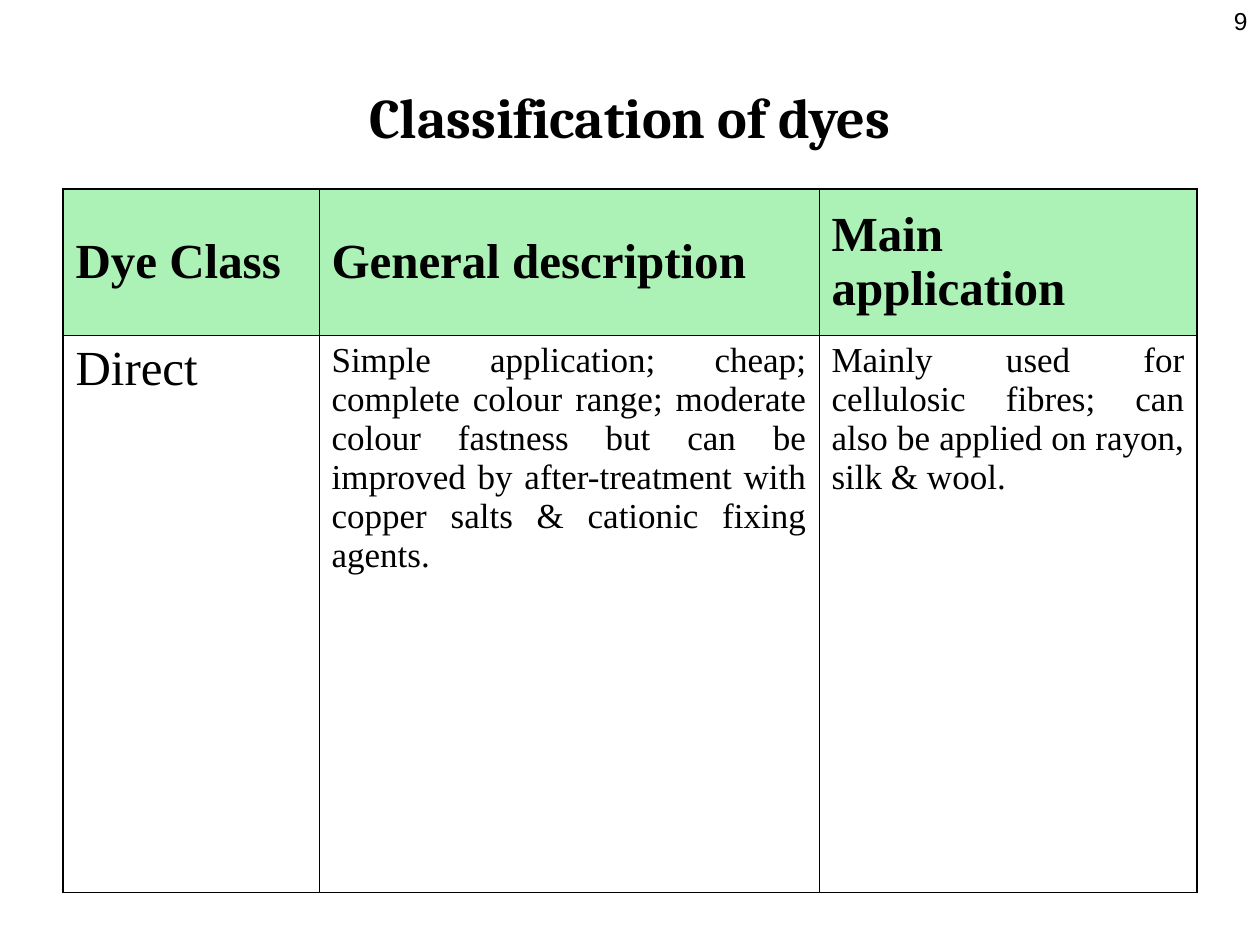
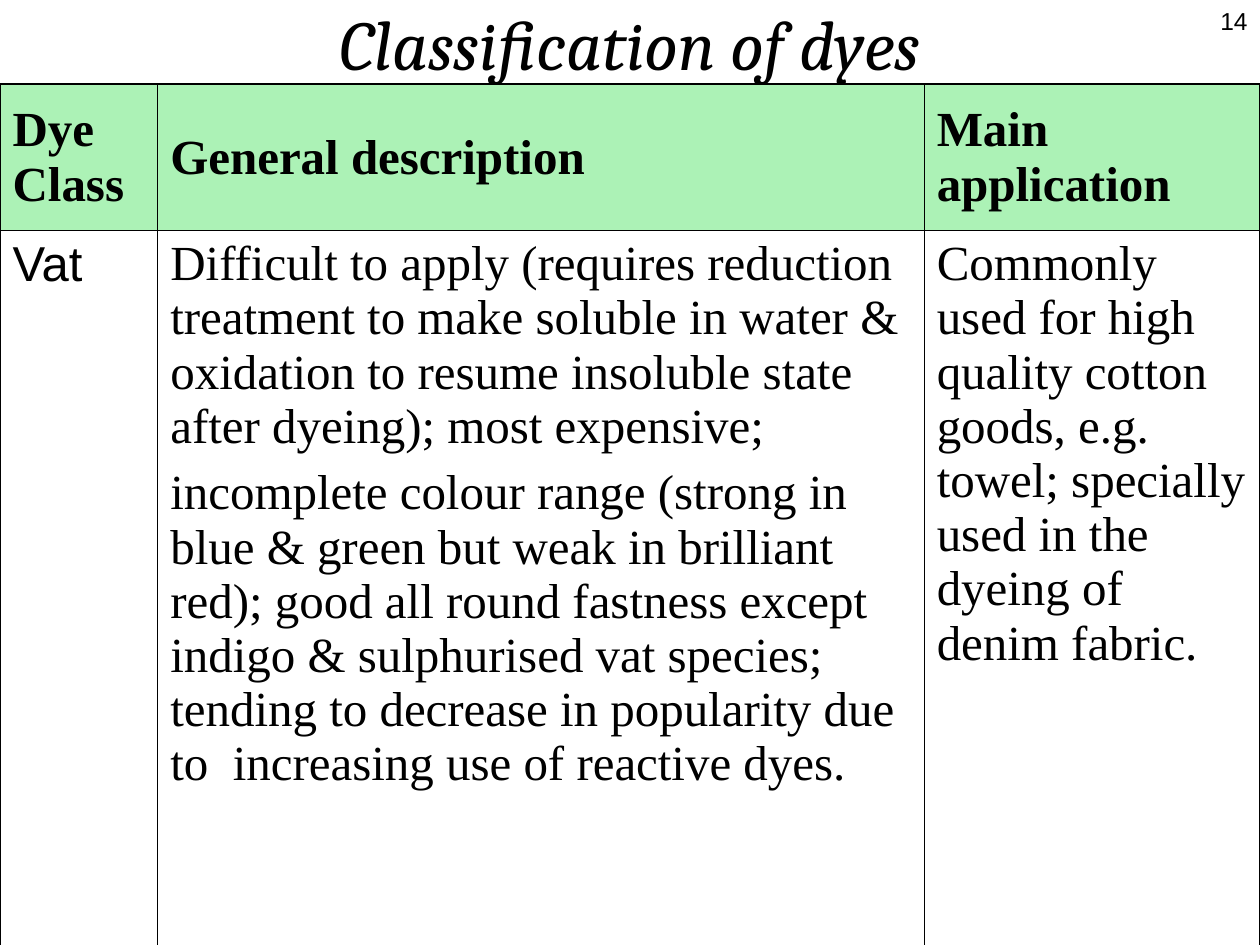
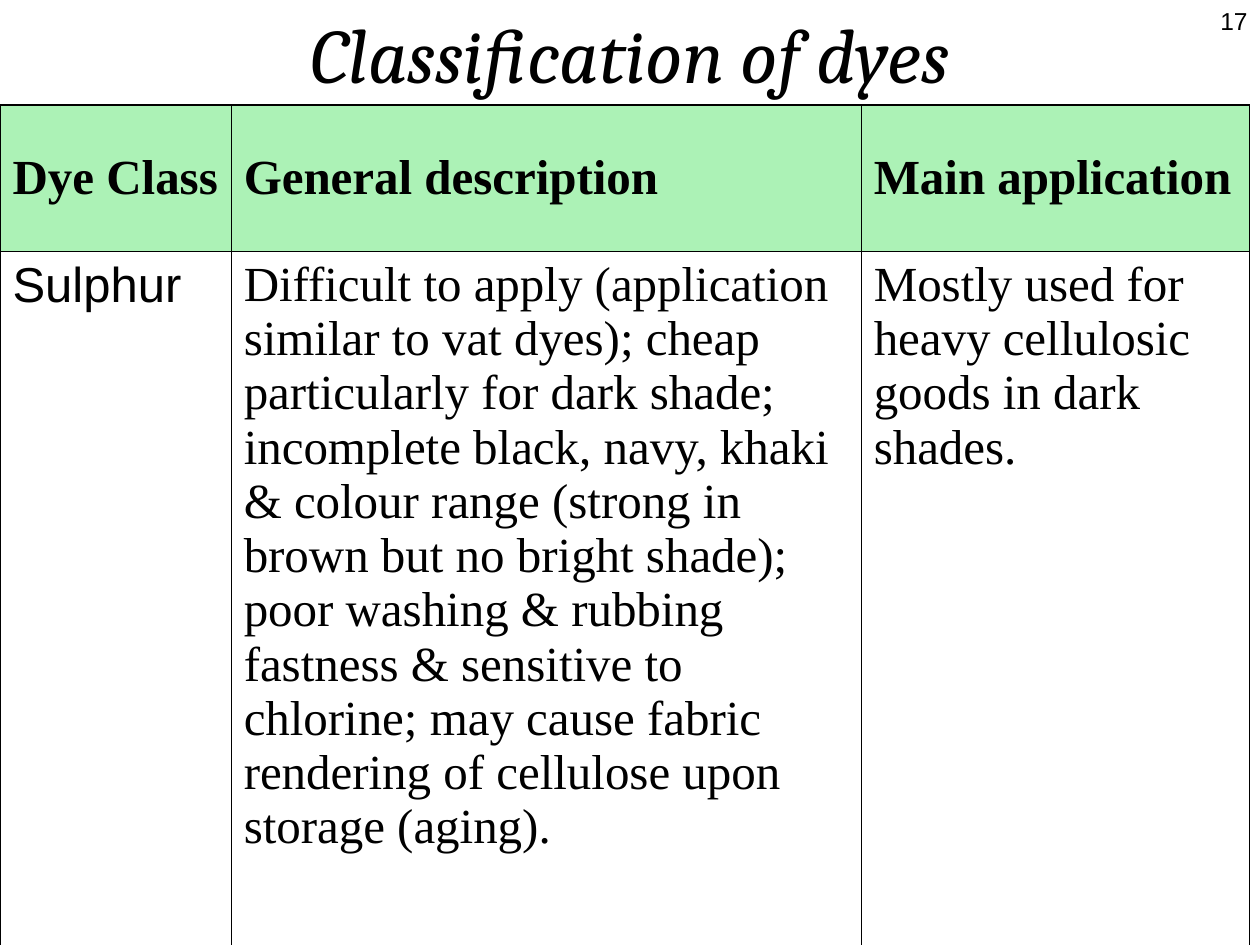
from lxml import etree
from pptx import Presentation
from pptx import util as u
from pptx.dml.color import RGBColor
from pptx.enum import text
from pptx.oxml import ns

INK, MINT, WHITE = "000000", "ACF2B6", "FFFFFF"
SERIF, SANS, HEADING = "Times New Roman", "Arial", "Cambria"
THIN, THICK = 0.45, 1.08
LEFT, CENTRE = text.PP_ALIGN.LEFT, text.PP_ALIGN.CENTER
RIGHT, JUSTIFY = text.PP_ALIGN.RIGHT, text.PP_ALIGN.JUSTIFY
MIDDLE, TOP = text.MSO_ANCHOR.MIDDLE, text.MSO_ANCHOR.TOP
HEADERS = ["Dye Class", "General description", "Main application"]
HEADER_HEIGHT = 2.95


def colour(code):
    return RGBColor.from_string(code)


def lengths(values):
    return [u.Cm(value) for value in values]


def set_all(target, values):
    for name, value in values.items():
        setattr(target, name, value)


class DyeDeck:
    def __init__(self):
        self.deck = Presentation()
        set_all(self.deck, {"slide_width": u.Cm(25.4), "slide_height": u.Cm(19.05)})
        self.page = None

    def add_words(self, frame, paragraphs, size, font=SERIF, align=LEFT, before=0, **style):
        for index, words in enumerate(paragraphs):
            para = frame.add_paragraph() if index else frame.paragraphs[0]
            set_all(para, {"alignment": align, "space_before": u.Pt(before)})
            span = para.add_run()
            span.text = words
            set_all(span.font, {"size": u.Pt(size), "name": font, **style})
            span.font.color.rgb = colour(INK)

    def add_page(self, number):
        self.page = self.deck.slides.add_slide(self.deck.slide_layouts[5])
        box = self.page.shapes.add_textbox(*lengths([19.48, 0, 5.92, 1.32]))
        box.text_frame.word_wrap = True
        self.add_words(box.text_frame, [str(number)], 14, SANS, RIGHT)

    def add_title(self, place, size, **style):
        title = self.page.shapes.title
        set_all(title, dict(zip(("left", "top", "width", "height"), lengths(place))))
        set_all(title.text_frame, {"vertical_anchor": MIDDLE, "word_wrap": True,
                                   "auto_size": text.MSO_AUTO_SIZE.NONE})
        self.add_words(title.text_frame, ["Classification of dyes"], size, HEADING, CENTRE,
                       **style)

    def add_borders(self, cell, widths):
        properties = cell._tc.get_or_add_tcPr()
        for side, width in widths.items():
            line = etree.SubElement(properties, ns.qn("a:ln" + side), w=str(int(u.Pt(width))))
            fill = etree.SubElement(line, ns.qn("a:solidFill"))
            etree.SubElement(fill, ns.qn("a:srgbClr"), val=INK)

    def add_dye_table(self, left, top, columns, body_height, body, formats):
        heights = [HEADER_HEIGHT, body_height]
        place = lengths([left, top, sum(columns), sum(heights)])
        table = self.page.shapes.add_table(2, len(columns), *place).table
        set_all(table, {"first_row": False, "horz_banding": False})
        for column, width in zip(table.columns, columns):
            column.width = u.Cm(width)
        for row, height in zip(table.rows, heights):
            row.height = u.Cm(height)

        header = {"size": 28, "before": 7, "bold": True}
        last = len(columns) - 1
        for index in range(len(columns)):
            for row, paragraphs, style in ((0, [HEADERS[index]], header),
                                           (1, body[index], formats[index])):
                cell = table.cell(row, index)
                self.add_borders(cell, {"L": THIN if index else THICK,
                                        "R": THICK if index == last else THIN,
                                        "T": THIN if row else THICK,
                                        "B": THICK if row else THIN})
                cell.fill.solid()
                cell.fill.fore_color.rgb = colour(WHITE if row else MINT)
                cell.vertical_anchor = TOP if row else MIDDLE
                self.add_words(cell.text_frame, paragraphs, **style)


def main():
    dyes = DyeDeck()
    plain = {"size": 28, "before": 7}
    sans = {**plain, "font": SANS}
    small = {"size": 20, "before": 5, "align": JUSTIFY}

    # Direct dyes
    dyes.add_page(9)
    dyes.add_title([1.27, 0.76, 22.86, 3.18], 32, bold=True)
    dyes.add_dye_table(1.27, 3.81, [5.16, 10.08, 7.62], 11.23, [
        ["Direct"],
        ["Simple application; cheap; complete colour range; moderate colour fastness "
         "but can be improved by after-treatment with copper salts & cationic fixing agents."],
        ["Mainly used for cellulosic fibres; can also be applied on rayon, silk & wool."],
    ], [plain, small, small])

    # Vat dyes
    dyes.add_page(14)
    dyes.add_title([1.9, 0, 21.6, 1.7], 40, bold=False, italic=True)
    dyes.add_dye_table(0, 1.7, [3.18, 15.45, 6.77], 16.61, [
        ["Vat"],
        ["Difficult to apply (requires reduction treatment to make soluble in water & "
         "oxidation to resume insoluble state after dyeing); most expensive;",
         "incomplete colour range (strong in blue & green but weak in brilliant red); "
         "good all round fastness except indigo & sulphurised vat species; tending to "
         "decrease in popularity due to  increasing use of reactive dyes."],
        ["Commonly used for high quality cotton goods, e.g. towel; specially used in "
         "the dyeing of denim fabric."],
    ], [sans, plain, plain])

    # Sulphur dyes
    dyes.add_page(17)
    dyes.add_title([1.9, 0, 21.6, 2.12], 44, bold=False, italic=True)
    dyes.add_dye_table(0, 2.12, [4.66, 12.7, 7.83], 17.7, [
        ["Sulphur"],
        ["Difficult to apply (application similar to vat dyes); cheap particularly for "
         "dark shade; incomplete black, navy, khaki & colour range (strong in brown but "
         "no bright shade); poor washing & rubbing fastness & sensitive to chlorine; may "
         "cause fabric rendering of cellulose upon storage (aging)."],
        ["Mostly used for heavy cellulosic goods in dark shades."],
    ], [sans, plain, plain])

    dyes.deck.save("out.pptx")


if __name__ == "__main__":
    main()
